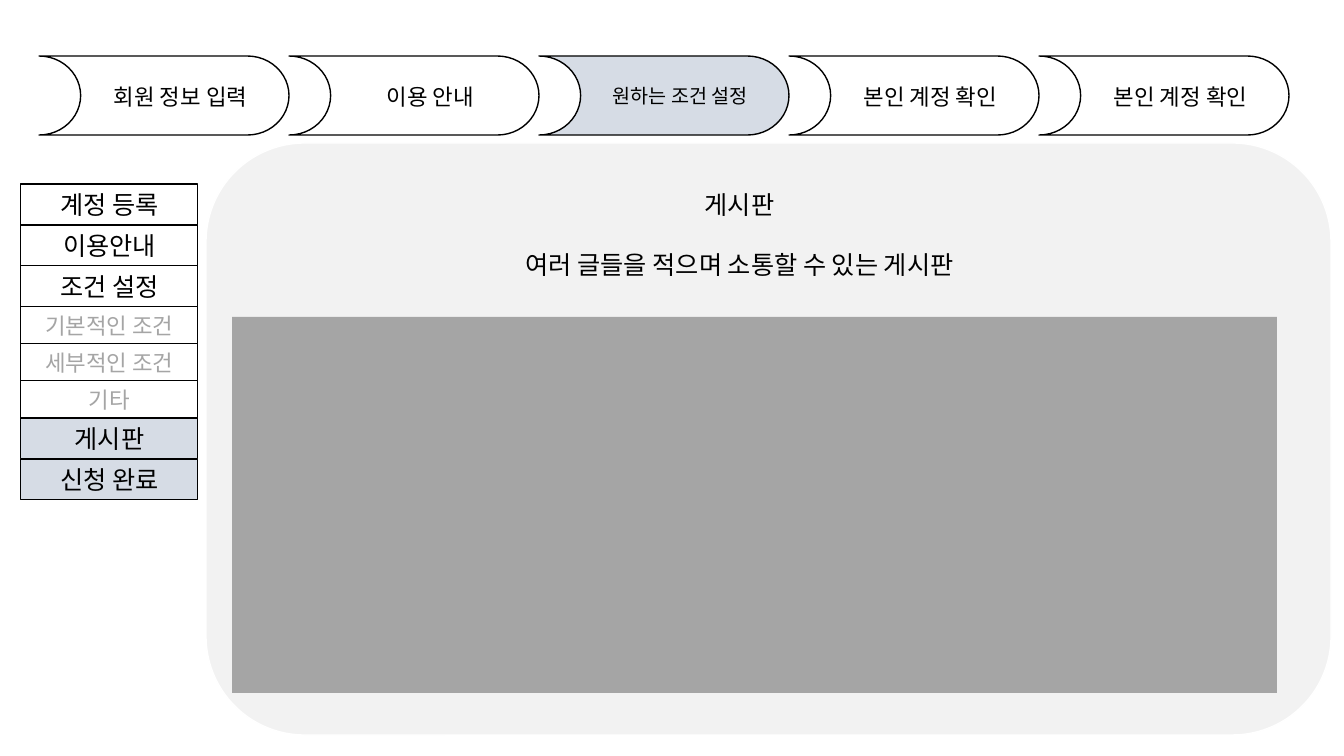
"""Build the bulletin-board slide with its step bar and side menu."""
import pptx
import pptx.dml.color
import pptx.enum.shapes
import pptx.enum.text
import pptx.util
from lxml import etree

PX = 12192000 // 1344
FONT = "Noto Sans CJK KR"
BLACK, WHITE, GREY, BLUE, PALE = "000000", "FFFFFF", "A5A5A5", "D6DCE5", "F2F2F2"
SHAPE = pptx.enum.shapes.MSO_SHAPE


def add_box(kind, left, top, width, height, fill=None, line=None, weight=1):
    """Add a preset shape measured in px, with a hex fill and outline."""
    box = page.shapes.add_shape(kind, left * PX, top * PX, width * PX, height * PX)
    box.shadow.inherit = False
    for paint, color in ((box.fill, fill), (box.line.fill, line)):
        if color:
            paint.solid()
            paint.fore_color.rgb = pptx.dml.color.RGBColor.from_string(color)
        else:
            paint.background()
    if line:
        box.line.width = pptx.util.Pt(weight)
    return box


def write(box, lines, size, color=BLACK):
    """Write centred paragraphs, one line of space apart."""
    frame = box.text_frame
    frame.word_wrap = True
    frame.auto_size = pptx.enum.text.MSO_AUTO_SIZE.SHAPE_TO_FIT_TEXT
    frame.vertical_anchor = pptx.enum.text.MSO_ANCHOR.TOP
    frame.text = "\n".join(lines)
    for index, para in enumerate(frame.paragraphs):
        para.alignment = pptx.enum.text.PP_ALIGN.CENTER
        para.space_before = pptx.util.Pt(21.5 if index else 0)
        para.font.size = pptx.util.Pt(size)
        para.font.name = FONT
        para.font.color.rgb = pptx.dml.color.RGBColor.from_string(color)
        latin = para._p.xpath("./a:pPr/a:defRPr/a:latin")[0]
        east_asian = etree.Element(pptx.oxml.ns.qn("a:ea"), typeface=FONT)
        latin.addnext(east_asian)


deck = pptx.Presentation()
deck.slide_width, deck.slide_height = 1344 * PX, 756 * PX
page = deck.slides.add_slide(deck.slide_layouts[6])

menu = [
    ("계정 등록", 18, BLACK, WHITE),
    ("이용안내", 18, BLACK, WHITE),
    ("조건 설정", 18, BLACK, WHITE),
    ("기본적인 조건", 16, GREY, WHITE),
    ("세부적인 조건", 16, GREY, WHITE),
    ("기타", 16, GREY, WHITE),
    ("게시판", 18, BLACK, BLUE),
    ("신청 완료", 18, BLACK, BLUE),
]
menu_top = 184
for label, size, color, fill in menu:
    height = 41 if size == 18 else 37
    item = add_box(SHAPE.RECTANGLE, 21, menu_top, 177, height, fill, BLACK, 0.75)
    write(item, [label], size, color)
    menu_top += height

steps = [
    ("회원 정보 입력", 16, WHITE),
    ("이용 안내", 16, WHITE),
    ("원하는 조건 설정", 14, BLUE),
    ("본인 계정 확인", 16, WHITE),
    ("본인 계정 확인", 16, WHITE),
]
for index, (label, size, fill) in enumerate(steps):
    left = 39 + 250 * index
    step = add_box(SHAPE.FLOWCHART_STORED_DATA, left, 56, 250, 79, fill, BLACK)
    step.element.spPr.xfrm.set("flipH", "1")
    height = 37 if size == 16 else 34
    caption = add_box(SHAPE.RECTANGLE, left + 55, 96 - height // 2, 173, height)
    write(caption, [label], size)

add_box(SHAPE.ROUNDED_RECTANGLE, 206, 143, 1125, 592, PALE, WHITE)
heading = page.shapes.add_textbox(268 * PX, 184 * PX, 943 * PX, 102 * PX)
write(heading, ["게시판", "여러 글들을 적으며 소통할 수 있는 게시판"], 18)
add_box(SHAPE.RECTANGLE, 232, 317, 1045, 376, GREY)

deck.save("out.pptx")
